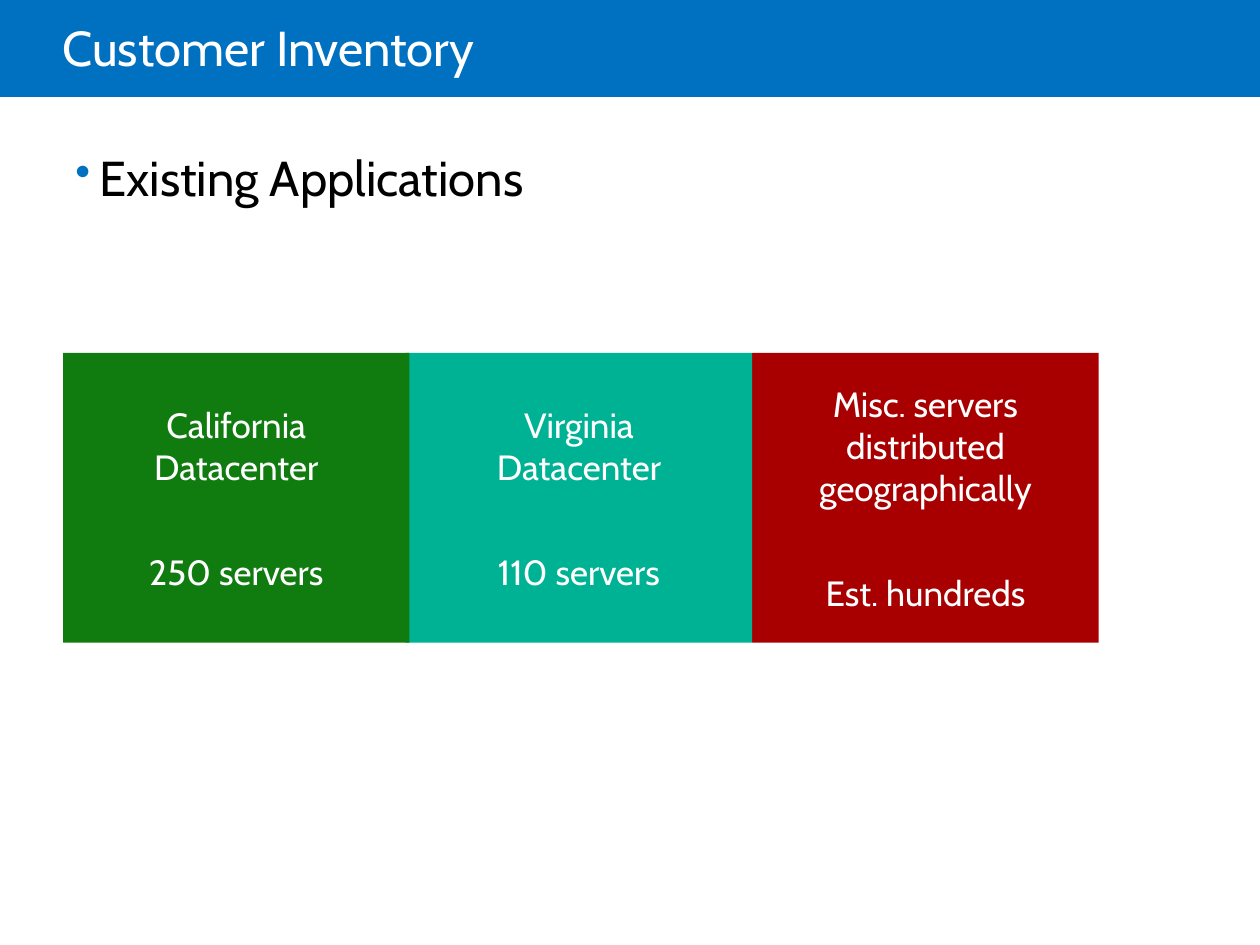
from lxml import etree
from pptx import Presentation
from pptx.dml.color import RGBColor
from pptx.enum.shapes import MSO_SHAPE
from pptx.enum.text import MSO_ANCHOR, PP_ALIGN
from pptx.oxml.ns import qn
from pptx.util import Inches, Pt

BLUE = RGBColor(0x00, 0x70, 0xC0)
WHITE = RGBColor(0xFF, 0xFF, 0xFF)
BLACK = RGBColor(0x00, 0x00, 0x00)
RED = RGBColor(0xA8, 0x00, 0x00)
TEAL = RGBColor(0x00, 0xB2, 0x94)
GREEN = RGBColor(0x10, 0x7C, 0x10)


def add_rect(left, top, width, height, color):
    s = slide.shapes.add_shape(
        MSO_SHAPE.RECTANGLE, Inches(left), Inches(top), Inches(width), Inches(height)
    )
    s.shadow.inherit = False
    s.fill.solid()
    s.fill.fore_color.rgb = color
    s.line.fill.background()
    return s


def style(p, size, color):
    for r in p.runs:
        r.font.name = "Cabin"
        r.font.size = Pt(size)
        r.font.color.rgb = color


prs = Presentation()
prs.slide_width = Inches(10)
prs.slide_height = Inches(7.5)
slide = prs.slides.add_slide(prs.slide_layouts[6])

add_rect(0, 0, 10, 0.77, BLUE)

title = slide.shapes.add_textbox(Inches(0.5), 0, Inches(8.5), Inches(0.81))
tf = title.text_frame
tf.word_wrap = True
tf.vertical_anchor = MSO_ANCHOR.MIDDLE
tf.margin_left = 0
p = tf.paragraphs[0]
p.text = "Customer Inventory"
p.line_spacing = 0.85
style(p, 28, WHITE)

body = slide.shapes.add_textbox(Inches(0.5), Inches(1.12), Inches(8.88), Inches(5.63))
tf = body.text_frame
tf.word_wrap = True
p = tf.paragraphs[0]
p.text = "Existing Applications"
pPr = p._p.get_or_add_pPr()
pPr.set("marL", str(Inches(0.19)))
pPr.set("indent", str(Inches(-0.19)))
bu_color = etree.SubElement(pPr, qn("a:buClr"))
etree.SubElement(bu_color, qn("a:srgbClr"), val=str(BLUE))
etree.SubElement(pPr, qn("a:buSzPct"), val="90000")
etree.SubElement(pPr, qn("a:buChar"), char="•")
style(p, 28, BLACK)

sites = [
    (5.97, RED, "Misc. servers distributed geographically", "Est. hundreds"),
    (3.22, TEAL, "Virginia Datacenter", "110 servers"),
    (0.5, GREEN, "California Datacenter", "250 servers"),
]
for left, color, name, count in sites:
    s = add_rect(left, 2.8, 2.75, 2.3, color)
    tf = s.text_frame
    tf.word_wrap = True
    tf.vertical_anchor = MSO_ANCHOR.MIDDLE
    tf.margin_left = tf.margin_right = Inches(0.4)
    tf.margin_top = tf.margin_bottom = Inches(0.1)
    tf.text = f"{name}\n{count}"
    tf.paragraphs[1].space_before = Pt(36)
    for p in tf.paragraphs:
        p.alignment = PP_ALIGN.CENTER
        style(p, 20, WHITE)

prs.save("out.pptx")
